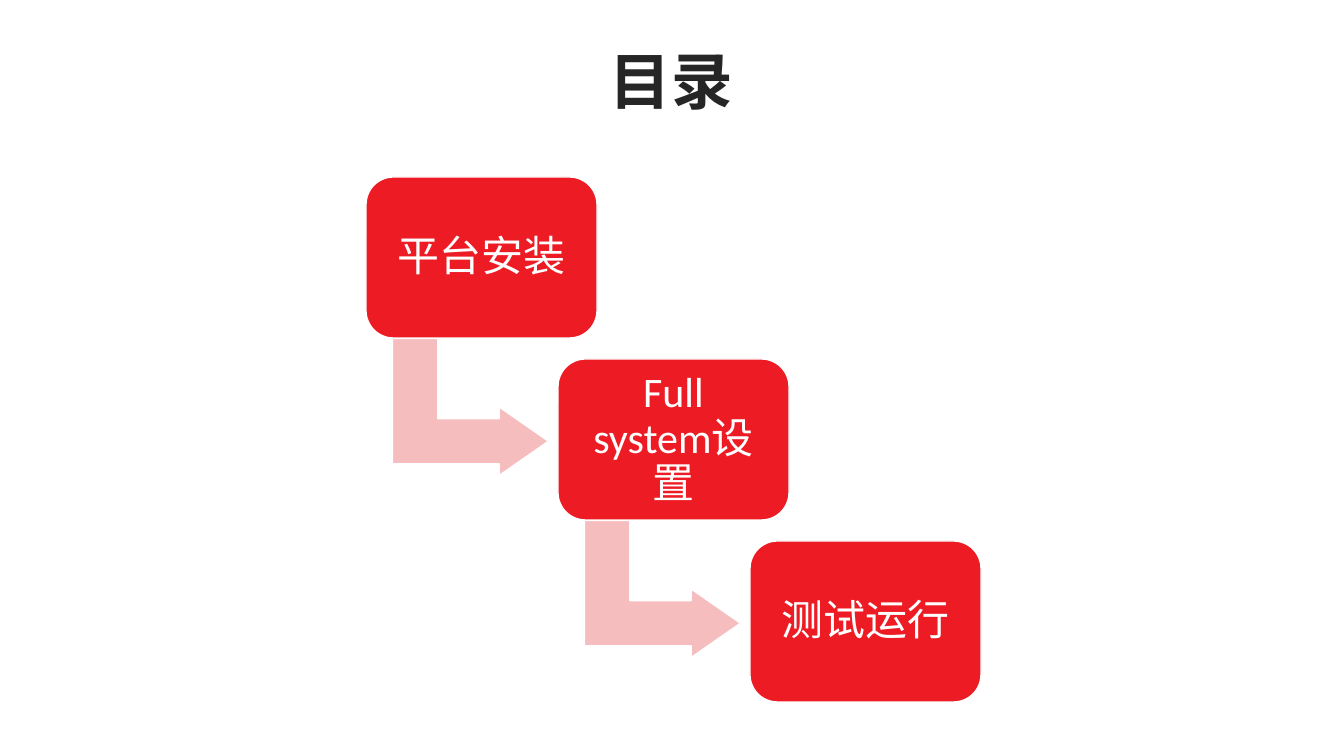
from lxml import etree
from pptx import Presentation
from pptx.dml.color import RGBColor
from pptx.enum.shapes import MSO_SHAPE
from pptx.enum.text import MSO_ANCHOR, MSO_AUTO_SIZE, PP_ALIGN
from pptx.oxml.ns import qn
from pptx.util import Pt

ROUNDED = MSO_SHAPE.ROUNDED_RECTANGLE
BENT_ARROW = MSO_SHAPE.BENT_UP_ARROW
MIDDLE = MSO_ANCHOR.MIDDLE
CENTER = PP_ALIGN.CENTER
NO_AUTOFIT = MSO_AUTO_SIZE.NONE

PX = 914400 / 100.8
COLORS = {"red": "ED1C24", "pink": "F6BDBE", "white": "FFFFFF", "ink": "262626"}
CHINESE_FONT = "Noto Sans CJK SC"
STEPS = ["平台安装", "Full system设置", "测试运行"]


def px(length):
    return round(length * PX)


def color(name):
    return RGBColor.from_string(COLORS[name])


def write(shape, text, size, ink, font, bold=False, inset=0):
    """Fill a shape with one centred paragraph."""
    frame = shape.text_frame
    frame.word_wrap = True
    frame.auto_size = NO_AUTOFIT
    frame.vertical_anchor = MIDDLE
    frame.margin_left = frame.margin_right = px(inset)
    frame.margin_top = frame.margin_bottom = px(inset)
    para = frame.paragraphs[0]
    para.alignment = CENTER
    para.line_spacing = 0.9
    span = para.add_run()
    span.text = text
    span.font.name = font
    span.font.size = Pt(size)
    span.font.bold = bold
    span.font.color.rgb = color(ink)
    east_asian = etree.SubElement(span.font._element, qn("a:ea"))
    east_asian.set("typeface", CHINESE_FONT)


def add_block(page, kind, left, top, width, height, fill, adjustments):
    block = page.shapes.add_shape(kind, px(left), px(top), px(width), px(height))
    block.shadow.inherit = False
    block.fill.solid()
    block.fill.fore_color.rgb = color(fill)
    block.line.color.rgb = color("white")
    block.line.width = Pt(1)
    for index, value in enumerate(adjustments):
        block.adjustments[index] = value
    return block


def add_title(page, left, top, width, height):
    title = page.shapes.title
    title.left, title.top = px(left), px(top)
    title.width, title.height = px(width), px(height)
    write(title, "目录", 44, "ink", CHINESE_FONT, bold=True)


def add_staircase(page, left, top, width, height, across, down):
    """Place the steps diagonally, with an arrow from each to the next."""
    for index, label in enumerate(STEPS):
        x, y = left + index * across, top + index * down
        if index < len(STEPS) - 1:
            arrow = add_block(page, BENT_ARROW, x + 36, y + 152, 137, 156,
                              "pink", [0.33, 0.25, 0.36])
            arrow.rotation = 90
        box = add_block(page, ROUNDED, x, y, width, height, "red", [0.17])
        write(box, label, 30, "white", "Calibri", inset=19)


def main():
    deck = Presentation()
    deck.slide_width, deck.slide_height = px(1344), px(756)
    page = deck.slides.add_slide(deck.slide_layouts[5])
    # Heading
    add_title(page, 197, 41, 949, 88)
    # Three-step process
    add_staircase(page, 366, 177, 231, 161, across=192, down=182)
    deck.save("out.pptx")


if __name__ == "__main__":
    main()
